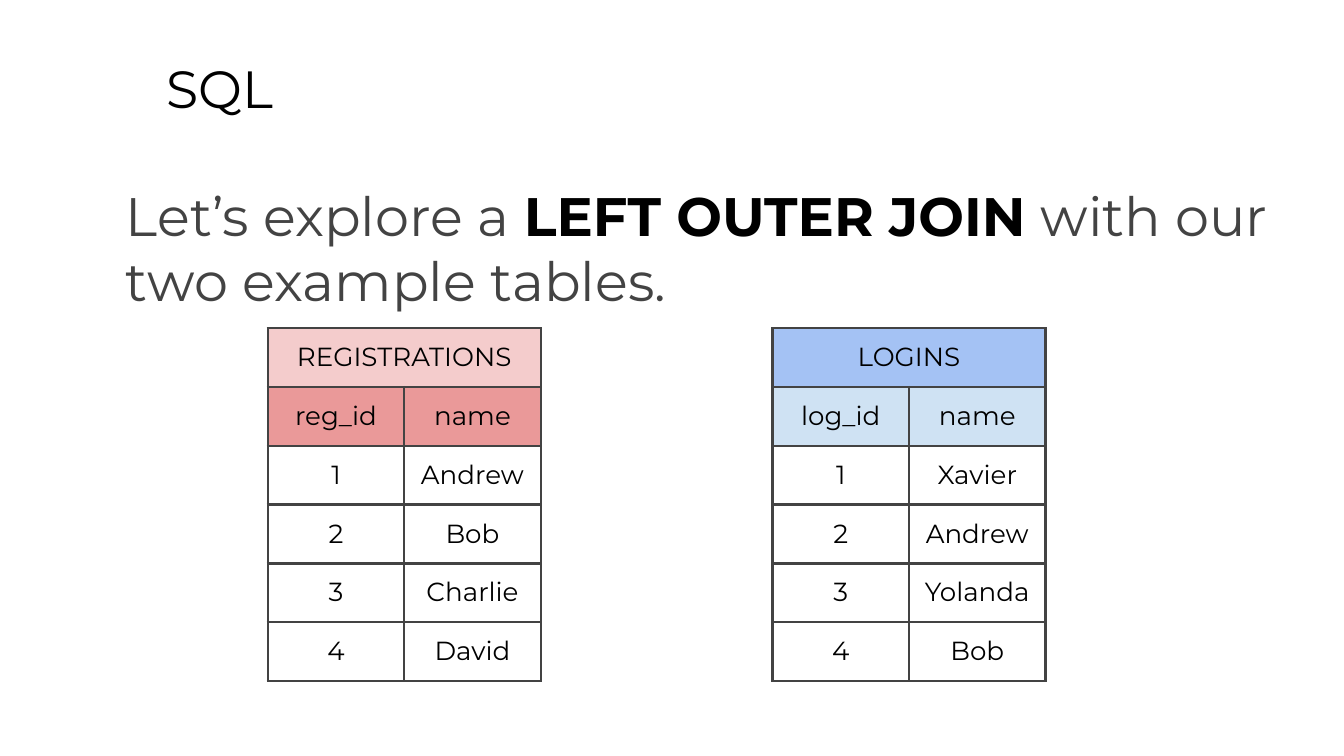
import pptx
import pptx.dml.color
import pptx.enum.text
import pptx.oxml
import pptx.oxml.ns
import pptx.util

Cm = pptx.util.Cm
Pt = pptx.util.Pt
FONT = "Montserrat"
INSET = Cm(0.25)
COLORS = {
    "black": "000000",
    "gray": "434343",
    "pale_red": "F4CCCC",
    "red": "EA9999",
    "blue": "A4C2F4",
    "pale_blue": "CFE2F3",
}
REGISTRATIONS = [("reg_id", "name"), ("1", "Andrew"), ("2", "Bob"), ("3", "Charlie"), ("4", "David")]
LOGINS = [("log_id", "name"), ("1", "Xavier"), ("2", "Andrew"), ("3", "Yolanda"), ("4", "Bob")]


def rgb(name):
    """Return the named palette colour."""
    return pptx.dml.color.RGBColor.from_string(COLORS[name])


def add_run(paragraph, text, size, color="black", bold=False):
    """Append one formatted run to a paragraph."""
    run = paragraph.add_run()
    run.text = text
    run.font.name = FONT
    run.font.size = Pt(size)
    run.font.bold = bold
    run.font.color.rgb = rgb(color)


def set_insets(target):
    """Give a text frame or table cell equal margins."""
    target.margin_left = target.margin_right = INSET
    target.margin_top = target.margin_bottom = INSET


def prepare_frame(shape):
    """Set up a wrapping, top-anchored text frame and return its first paragraph."""
    frame = shape.text_frame
    frame.word_wrap = True
    frame.auto_size = pptx.enum.text.MSO_AUTO_SIZE.NONE
    frame.vertical_anchor = pptx.enum.text.MSO_ANCHOR.TOP
    set_insets(frame)
    paragraph = frame.paragraphs[0]
    paragraph.alignment = pptx.enum.text.PP_ALIGN.LEFT
    return paragraph


def place_title(slide, left, top, width, height):
    """Place the slide title in the given box."""
    title = slide.shapes.title
    title.left, title.top, title.width, title.height = left, top, width, height
    add_run(prepare_frame(title), "SQL", 28)


def add_introduction(slide, left, top, width, height):
    """Add the introductory sentence in the given box."""
    shape = slide.shapes.add_textbox(left, top, width, height)
    paragraph = prepare_frame(shape)
    paragraph.space_after = Pt(16)
    add_run(paragraph, "Let’s explore a ", 29, "gray")
    add_run(paragraph, "LEFT OUTER JOIN", 29, bold=True)
    add_run(paragraph, " with our two example tables.", 29, "gray")


def add_borders(cell):
    """Draw a gray line on all four sides of a cell."""
    properties = cell._tc.get_or_add_tcPr()
    for side in ("lnL", "lnR", "lnT", "lnB"):
        properties.append(pptx.oxml.parse_xml(
            f'<a:{side} {pptx.oxml.ns.nsdecls("a")} w="{Pt(1.5)}">'
            f'<a:solidFill><a:srgbClr val="{COLORS["gray"]}"/></a:solidFill></a:{side}>'
        ))


def add_data_table(slide, left, top, width, height, name, rows, name_color, header_color):
    """Add a named two-column table that fills the given box."""
    rows = [(name, "")] + rows
    table = slide.shapes.add_table(len(rows), 2, left, top, width, height).table
    table.first_row = table.horz_banding = False
    fills = {0: name_color, 1: header_color}
    for row_index, values in enumerate(rows):
        for column_index, value in enumerate(values):
            cell = table.cell(row_index, column_index)
            set_insets(cell)
            add_borders(cell)
            if row_index in fills:
                cell.fill.solid()
                cell.fill.fore_color.rgb = rgb(fills[row_index])
            else:
                cell.fill.background()
            if value:
                paragraph = cell.text_frame.paragraphs[0]
                paragraph.alignment = pptx.enum.text.PP_ALIGN.CENTER
                add_run(paragraph, value, 14)
    table.cell(0, 0).merge(table.cell(0, 1))


def main():
    """Build and save the slide."""
    presentation = pptx.Presentation()
    presentation.slide_width = Cm(25.4)
    presentation.slide_height = Cm(14.28)
    slide = presentation.slides.add_slide(presentation.slide_layouts[5])
    place_title(slide, Cm(2.9), Cm(0.82), Cm(21.64), Cm(1.6))
    add_introduction(slide, Cm(2.13), Cm(3.2), Cm(22.86), Cm(9.5))
    table_top, table_width, table_height = Cm(6.2), Cm(5.16), Cm(6.66)
    add_data_table(slide, Cm(5.06), table_top, table_width, table_height,
                   "REGISTRATIONS", REGISTRATIONS, "pale_red", "red")
    add_data_table(slide, Cm(14.6), table_top, table_width, table_height,
                   "LOGINS", LOGINS, "blue", "pale_blue")
    presentation.save("out.pptx")


if __name__ == "__main__":
    main()
